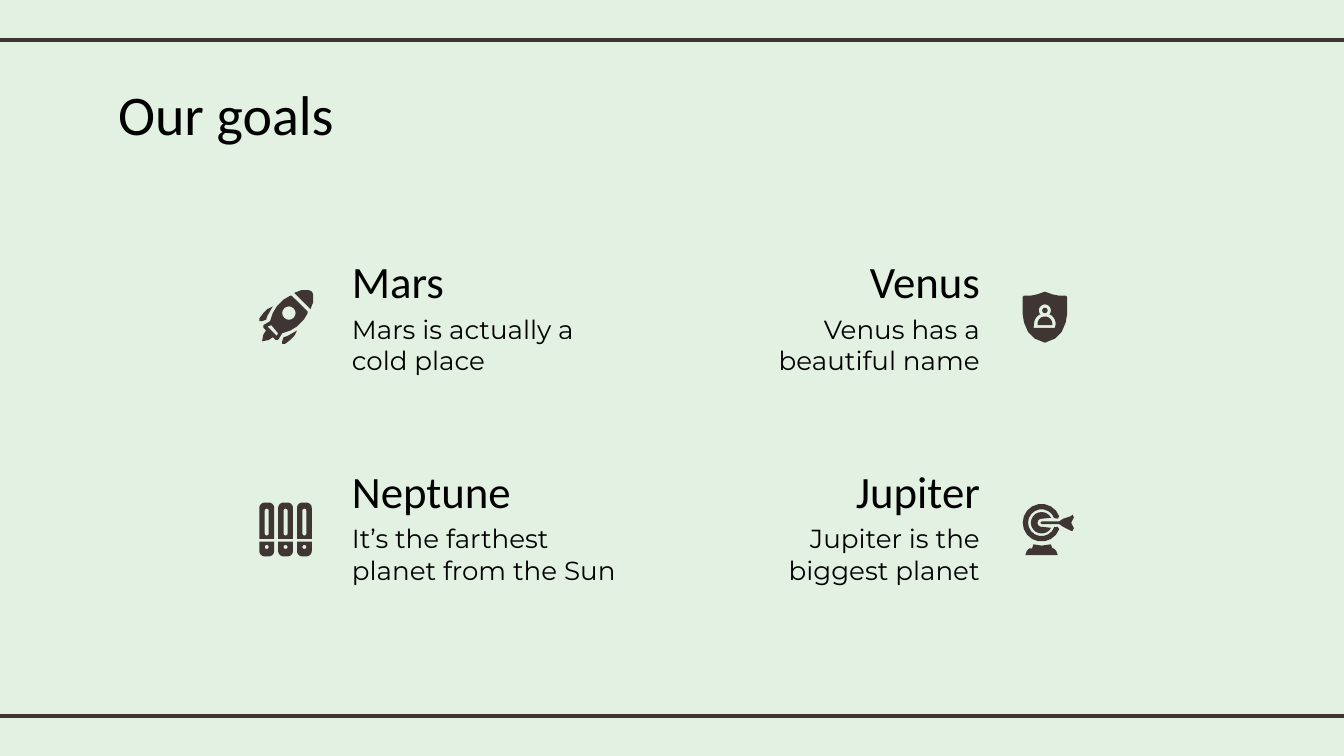
from dataclasses import dataclass
from math import cos, radians, sin

from lxml.etree import SubElement
from pptx import Presentation
from pptx.dml.color import RGBColor
from pptx.enum.shapes import MSO_CONNECTOR
from pptx.enum.text import MSO_ANCHOR, PP_ALIGN
from pptx.oxml.ns import qn
from pptx.util import Inches, Pt


@dataclass(frozen=True)
class Theme:
    background = RGBColor(0xE3, 0xF1, 0xE2)
    ink = RGBColor(0x3F, 0x35, 0x33)
    text = RGBColor(0, 0, 0)
    heading_font = "Calibri"
    body_font = "Montserrat"
    title_size = Pt(30)
    heading_size = Pt(24)
    body_size = Pt(14)
    rule_width = Pt(2.25)


theme = Theme()


def arc(x, y, radius, start=0, end=360):
    """Points along an arc, with angles running clockwise from the right."""
    steps = 16
    angles = [radians(start + (end - start) * i / steps) for i in range(steps + 1)]
    return [(x + radius * cos(a), y + radius * sin(a)) for a in angles]


def add_outline(icon, *contours):
    """Add one filled outline to an icon; inner contours become holes."""
    builder = None
    for contour in contours:
        start, *rest = [(Inches(x), Inches(y)) for x, y in contour]
        if builder is None:
            builder = icon.shapes.build_freeform(*start, scale=1.0)
        else:
            builder.move_to(*start)
        builder.add_line_segments(rest, close=True)
    shape = builder.convert_to_shape()
    shape.shadow.inherit = False
    shape.fill.solid()
    shape.fill.fore_color.rgb = theme.ink
    shape.line.fill.background()


# Widescreen page, 16 to 9
deck = Presentation()
deck.slide_width = Inches(10)
deck.slide_height = Inches(10) * 9 // 16
page = deck.slides.add_slide(deck.slide_layouts[6])
page.background.fill.solid()
page.background.fill.fore_color.rgb = theme.background

# Rules at the top and bottom
for y in (0.3, 5.33):
    rule = page.shapes.add_connector(
        MSO_CONNECTOR.STRAIGHT, Inches(-0.08), Inches(y), Inches(10.08), Inches(y))
    rule.line.color.rgb = theme.ink
    rule.line.width = theme.rule_width
    SubElement(rule._element.spPr, qn("a:effectLst"))

# Title, goal headings and descriptions
title_style = (theme.heading_font, theme.title_size)
heading_style = (theme.heading_font, theme.heading_size)
body_style = (theme.body_font, theme.body_size)
texts = [("Our goals", 0.78, 0.49, 3.05, 0.63, PP_ALIGN.LEFT, title_style)]
goals = [
    ("Mars", "Mars is actually a cold place", 2.52, 1.79, PP_ALIGN.LEFT),
    ("Venus", "Venus has a beautiful name", 5.19, 1.79, PP_ALIGN.RIGHT),
    ("Neptune", "It’s the farthest planet from the Sun", 2.52, 3.35, PP_ALIGN.LEFT),
    ("Jupiter", "Jupiter is the biggest planet", 5.19, 3.35, PP_ALIGN.RIGHT),
]
for heading, description, left, top, alignment in goals:
    texts.append((heading, left, top, 2.2, 0.55, alignment, heading_style))
    texts.append((description, left, top + 0.44, 2.2, 0.63, alignment, body_style))

for text, left, top, width, height, alignment, (font, size) in texts:
    box = page.shapes.add_textbox(Inches(left), Inches(top), Inches(width), Inches(height))
    frame = box.text_frame
    frame.word_wrap = True
    frame.vertical_anchor = MSO_ANCHOR.TOP
    frame.margin_left = frame.margin_right = Inches(0.1)
    frame.margin_top = frame.margin_bottom = Inches(0.1)
    frame.text = text
    para = frame.paragraphs[0]
    para.alignment = alignment
    span = para.runs[0]
    span.font.name, span.font.size = font, size
    span.font.color.rgb = theme.text

# Rocket: each half is reflected across the diagonal x + y = 4.49
rocket = page.shapes.add_group_shape()
body = [(2.17, 2.2), (2.16, 2.2), (2.11, 2.23), (2.06, 2.28), (2.03, 2.33), (2.01, 2.39),
        (1.96, 2.42), (1.96, 2.44), (1.98, 2.46), (1.96, 2.49), (1.95, 2.54)]
nose = [(2.31, 2.3), (2.33, 2.25), (2.33, 2.19), (2.32, 2.17)]
fin = [(2.03, 2.28), (1.99, 2.3), (1.96, 2.33), (1.93, 2.37), (1.93, 2.39), (1.95, 2.39),
       (1.98, 2.38), (1.99, 2.35)]
slot = [(2.02, 2.42), (2.07, 2.48), (2.06, 2.5), (1.99, 2.43)]
body_mirror, nose_mirror, fin_mirror = [
    [(4.49 - y, 4.49 - x) for x, y in reversed(half)] for half in (body, nose, fin)]
add_outline(rocket, body + body_mirror, arc(2.15, 2.33, 0.05), slot)
add_outline(rocket, nose + nose_mirror)
add_outline(rocket, fin_mirror)
add_outline(rocket, fin)

# Row of three binders
binders = page.shapes.add_group_shape()
for i in range(3):
    left = 1.93 + 0.14 * i
    right, middle = left + 0.11, left + 0.055
    add_outline(
        binders,
        [(left, 4.03), (right, 4.03)] + arc(right - 0.04, 4.1, 0.04, 0, 90)
        + arc(left + 0.04, 4.1, 0.04, 90, 180),
        arc(middle, 4.07, 0.015))
    add_outline(
        binders,
        arc(left + 0.04, 3.78, 0.04, 180, 270) + arc(right - 0.04, 3.78, 0.04, 270, 360)
        + [(right, 4.01), (left, 4.01)],
        arc(middle, 3.8, 0.015, 180, 360) + arc(middle, 3.97, 0.015, 0, 180))

# Shield with a person
shield = page.shapes.add_group_shape()
center = 7.775
edge = [(center, 2.17), (7.72, 2.19), (7.67, 2.2), (7.62, 2.2), (7.61, 2.21), (7.61, 2.34),
        (7.62, 2.4), (7.65, 2.47), (7.7, 2.52), (center, 2.55)]
edge_mirror = [(2 * center - x, y) for x, y in reversed(edge)]
person = (arc(center, 2.31, 0.045, 135, 405) + arc(center, 2.41, 0.08, -65, 0)
          + [(7.85, 2.44), (7.69, 2.44)] + arc(center, 2.41, 0.08, 180, 245))
add_outline(shield, arc(center, 2.41, 0.055, 180, 360) + [(7.83, 2.42), (7.72, 2.42)])
add_outline(shield, arc(center, 2.31, 0.02))
add_outline(shield, edge + edge_mirror, person)

# Target with a dart
target = page.shapes.add_group_shape()
hub = (7.75, 3.89)
add_outline(target, arc(*hub, 0.14, 20, 340) + [(7.87, 3.86)]
            + arc(*hub, 0.1, 340, 20) + [(7.87, 3.92)])
add_outline(target, [(7.98, 3.83), (7.97, 3.84), (7.91, 3.86), (7.88, 3.88), (7.75, 3.88),
                     (7.74, 3.89), (7.75, 3.9), (7.88, 3.9), (7.91, 3.92), (7.97, 3.95),
                     (7.98, 3.95), (7.99, 3.93), (7.97, 3.89), (7.99, 3.85)])
add_outline(target, [(7.69, 4.05), (7.68, 4.08), (7.66, 4.08), (7.64, 4.1), (7.63, 4.13),
                     (7.87, 4.13), (7.86, 4.1), (7.84, 4.08), (7.83, 4.08), (7.82, 4.05),
                     (7.75, 4.06)])
add_outline(target, arc(*hub, 0.08, 28, 332) + arc(*hub, 0.03, 270, 90))

deck.save("out.pptx")
